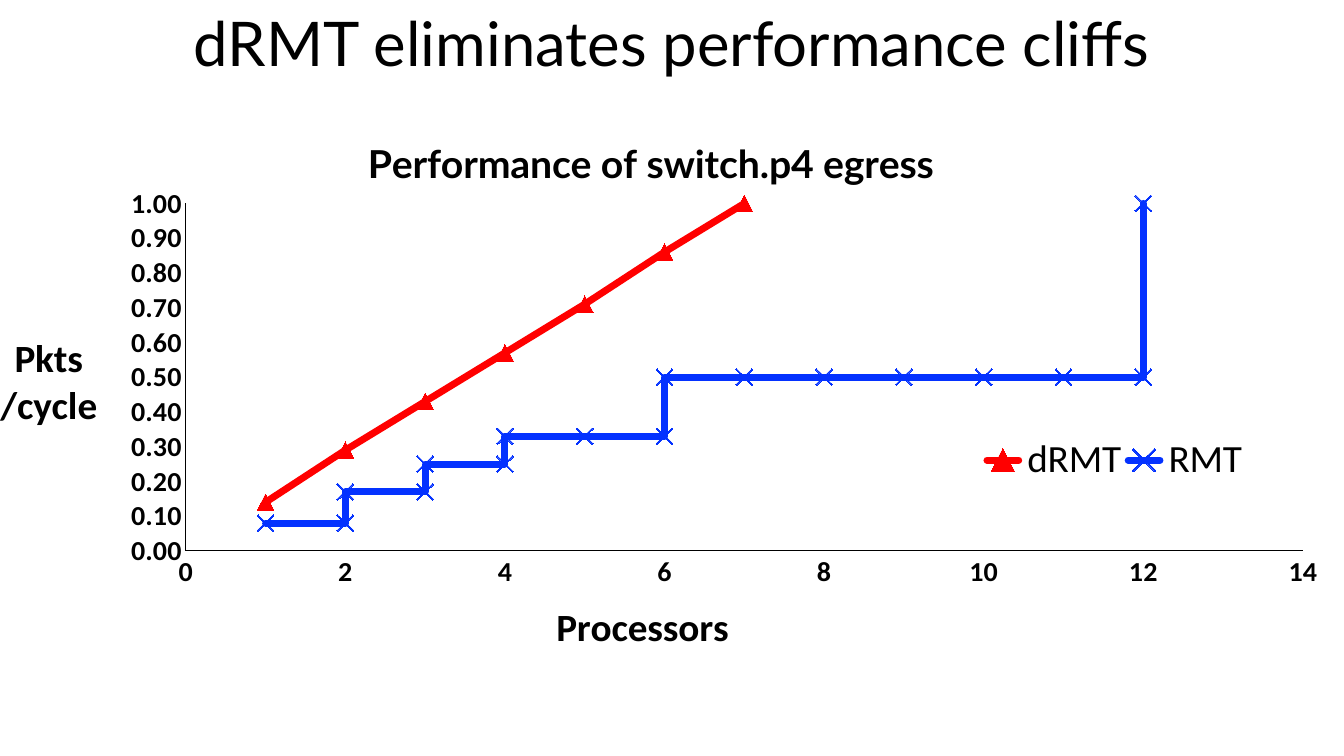
from lxml import etree
from pptx import Presentation
from pptx.chart.data import XyChartData
from pptx.dml.color import RGBColor
from pptx.enum.chart import XL_CHART_TYPE, XL_LEGEND_POSITION, XL_MARKER_STYLE, XL_TICK_MARK
from pptx.enum.text import MSO_ANCHOR, MSO_AUTO_SIZE, PP_ALIGN
from pptx.oxml.ns import qn
from pptx.util import Inches, Pt

SCATTER = XL_CHART_TYPE.XY_SCATTER_LINES
BOTTOM = XL_LEGEND_POSITION.BOTTOM
TRIANGLE, CROSS = XL_MARKER_STYLE.TRIANGLE, XL_MARKER_STYLE.X
NO_TICK = XL_TICK_MARK.NONE
MIDDLE, CENTER, NO_FIT = MSO_ANCHOR.MIDDLE, PP_ALIGN.CENTER, MSO_AUTO_SIZE.NONE

DRMT = list(enumerate([0.14, 0.29, 0.43, 0.57, 0.71, 0.86, 1], 1))
RMT_LEVELS = [0.08, 0.17, 0.25, 0.33, 0.33] + [0.5] * 6
RMT = [(1, 0.08)] + [(x, y) for i, y in enumerate(RMT_LEVELS, 1) for x in (i, i + 1)] + [(12, 1)]


def rgb(value):
    """Turn a hex string into a colour."""
    return RGBColor.from_string(value)


class Deck:
    """Holds the style and the current slide."""

    ink = "000000"
    head_font = "Lato"
    body_font = "Calibri"

    def __init__(self):
        """Start a widescreen presentation with one title slide."""
        self.prs = Presentation()
        self.prs.slide_width, self.prs.slide_height = Inches(13.33), Inches(7.5)
        self.s = self.prs.slides.add_slide(self.prs.slide_layouts[5])

    def font(self, f, size, name, bold=False):
        """Style a font."""
        f.size, f.name, f.bold = Pt(size), name, bold
        f.color.rgb = rgb(self.ink)

    def title(self, text, x, y, w, h):
        """Move and fill the title placeholder."""
        sp = self.s.shapes.title
        sp.left, sp.top, sp.width, sp.height = map(Inches, (x, y, w, h))
        tf = sp.text_frame
        tf.word_wrap, tf.auto_size, tf.vertical_anchor = True, NO_FIT, MIDDLE
        p = tf.paragraphs[0]
        p.alignment, p.line_spacing = CENTER, 0.9
        r = p.add_run()
        r.text = text
        self.font(r.font, 44, self.head_font)

    def place(self, element, after, **spots):
        """Give a chart part a manual layout."""
        for old in element.findall(qn("c:layout")):
            element.remove(old)
        layout = etree.Element(qn("c:layout"))
        manual = etree.SubElement(layout, qn("c:manualLayout"))
        for tag, val in spots.items():
            etree.SubElement(manual, qn("c:" + tag)).set("val", str(val))
        if after:
            element.find(qn(after)).addnext(layout)
        else:
            element.insert(0, layout)

    def chart_text(self, title, lines, name, x, y):
        """Write a horizontal chart or axis title at a given spot."""
        tf = title.text_frame
        tf._txBody.bodyPr.set("rot", "0")
        tf._txBody.bodyPr.set("vert", "horz")
        for i, line in enumerate(lines):
            p = tf.add_paragraph() if i else tf.paragraphs[0]
            p.alignment = CENTER
            r = p.add_run()
            r.text = line
            self.font(r.font, 28, name, True)
        self.place(title._element, "c:tx", xMode="edge", yMode="edge", x=x, y=y)

    def axis(self, axis, top, step, fmt, lines, x, y):
        """Style one axis and its title."""
        axis.minimum_scale, axis.maximum_scale, axis.major_unit = 0, top, step
        axis.has_major_gridlines = axis.has_minor_gridlines = False
        axis.major_tick_mark = axis.minor_tick_mark = NO_TICK
        axis.tick_labels.number_format = fmt
        axis.tick_labels.number_format_is_linked = False
        self.font(axis.tick_labels.font, 20, self.body_font, True)
        axis.format.line.color.rgb = rgb(self.ink)
        axis.format.line.width = Pt(0.75)
        self.chart_text(axis.axis_title, lines, self.body_font, x, y)

    def series(self, series, color, style, length):
        """Style one line and its markers, with a common point count."""
        for count in series._element.iter(qn("c:ptCount")):
            if count.getparent().tag == qn("c:numCache"):
                count.set("val", str(length))
        series.smooth = False
        series.format.line.color.rgb = rgb(color)
        series.format.line.width = Pt(5)
        series.format.line._ln.set("cap", "rnd")
        marker = series.marker
        marker.style, marker.size = style, 12
        marker.format.fill.solid()
        marker.format.fill.fore_color.rgb = rgb(color)
        marker.format.line.color.rgb = rgb(color)

    def scatter(self, title, series, x, y, w, h):
        """Add the scatter chart with its legend."""
        data = XyChartData(number_format="0.00")
        for name, points, _, _ in series:
            xy = data.add_series(name)
            for point in points:
                xy.add_data_point(*point)
        chart = self.s.shapes.add_chart(SCATTER, *map(Inches, (x, y, w, h)), data).chart
        self.font(chart.font, 10, self.body_font)
        plot = chart.plots[0]
        plot.vary_by_categories = False
        length = max(len(points) for _, points, _, _ in series)
        for item, (_, _, color, style) in zip(plot.series, series):
            self.series(item, color, style, length)
        chart.has_title = True
        self.chart_text(chart.chart_title, [title], self.head_font, 0.28, 0.02)
        chart.chart_title.include_in_layout = False
        self.axis(chart.category_axis, 14, 2, "General", ["Processors"], 0.42, 0.89)
        self.axis(chart.value_axis, 1, 0.1, "0.00", ["Pkts", "/cycle"], 0.01, 0.4)
        chart.has_legend = True
        legend = chart.legend
        legend.position, legend.include_in_layout = BOTTOM, False
        self.font(legend.font, 28, self.body_font)
        self.place(legend._element, "c:legendPos", xMode="edge", yMode="edge",
                   x=0.74, y=0.59, w=0.2, h=0.1)
        area = chart._chartSpace.chart.plotArea
        self.place(area, None, layoutTarget="inner", xMode="edge", yMode="edge",
                   x=0.15, y=0.16, w=0.83, h=0.65)


def main():
    """Build and save the slide."""
    deck = Deck()
    deck.title("dRMT eliminates performance cliffs", 0.54, -0.26, 12.25, 1.45)
    deck.scatter("Performance of switch.p4 egress",
                 [("dRMT", DRMT, "FF0000", TRIANGLE), ("RMT", RMT, "0432FF", CROSS)],
                 -0.16, 1.17, 13.35, 5.41)
    deck.prs.save("out.pptx")


if __name__ == "__main__":
    main()
